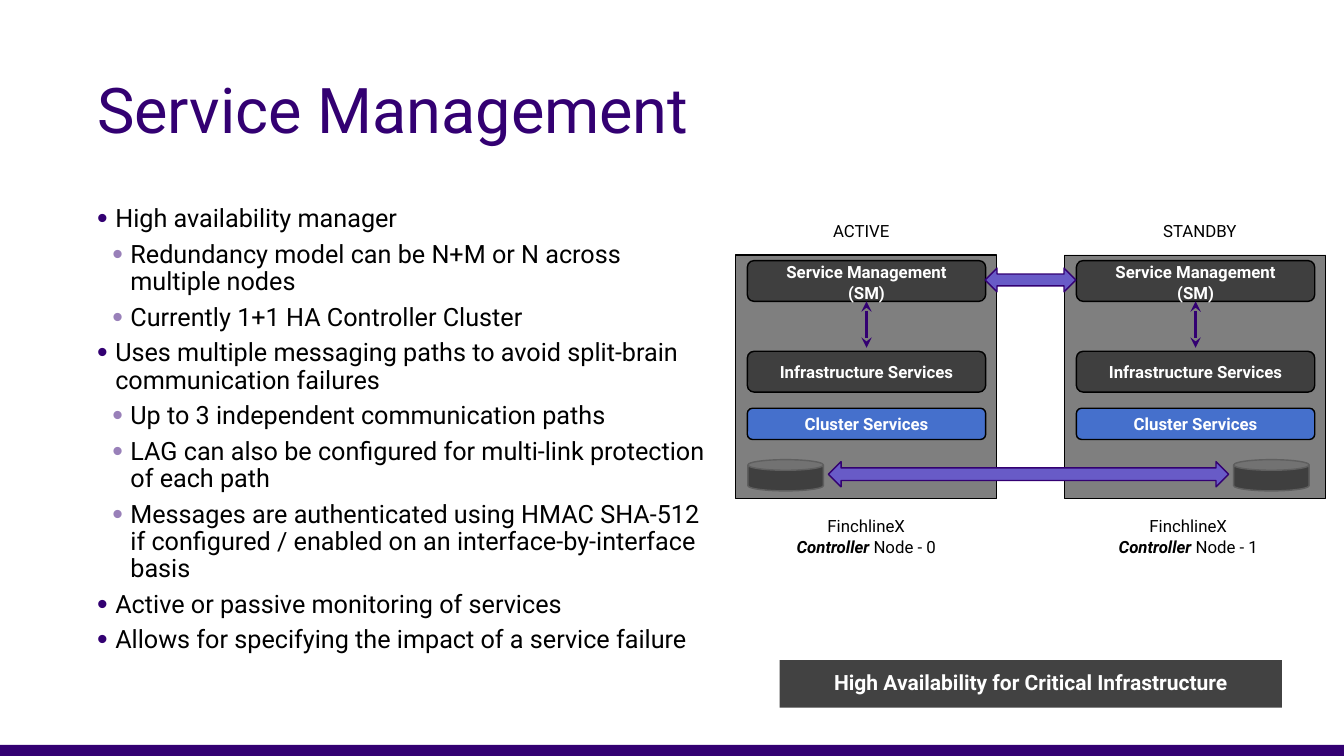
from dataclasses import dataclass

import pptx
import pptx.dml.color
import pptx.enum.shapes
import pptx.enum.text
import pptx.oxml
import pptx.oxml.ns
import pptx.util

Inches = pptx.util.Inches
Pt = pptx.util.Pt
RGBColor = pptx.dml.color.RGBColor
Shape = pptx.enum.shapes.MSO_SHAPE
Align = pptx.enum.text.PP_ALIGN
Anchor = pptx.enum.text.MSO_ANCHOR
qn = pptx.oxml.ns.qn

PURPLE = RGBColor(0x33, 0x00, 0x72)
PALE_PURPLE = RGBColor(0x99, 0x80, 0xB9)
VIOLET = RGBColor(0x68, 0x5B, 0xC7)
BLUE = RGBColor(0x32, 0x6C, 0xE6)
GRAY = RGBColor(0x5F, 0x5F, 0x5F)
BLACK = RGBColor(0, 0, 0)
WHITE = RGBColor(0xFF, 0xFF, 0xFF)


@dataclass(frozen=True)
class Bullet:
    text: str
    level: int = 0


@dataclass(frozen=True)
class Service:
    lines: tuple[str, ...]
    top: float
    height: float
    fill: RGBColor = BLACK
    alpha: int = 50


@dataclass(frozen=True)
class Node:
    role: str
    name: str
    left: float
    role_center: float
    name_center: float
    disk_left: float
    border: float


BULLETS = (
    Bullet("High availability manager"),
    Bullet("Redundancy model can be N+M or N across multiple nodes", 1),
    Bullet("Currently 1+1 HA Controller Cluster", 1),
    Bullet("Uses multiple messaging paths to avoid split-brain communication failures"),
    Bullet("Up to 3 independent communication paths", 1),
    Bullet("LAG can also be configured for multi-link protection of each path", 1),
    Bullet("Messages are authenticated using HMAC SHA-512 if configured / enabled "
           "on an interface-by-interface basis", 1),
    Bullet("Active or passive monitoring of services"),
    Bullet("Allows for specifying the impact of a service failure"),
)
SERVICES = (
    Service(("Service Management", "(SM)"), 5.17, 0.81),
    Service(("Infrastructure Services",), 6.97, 0.81),
    Service(("Cluster Services",), 8.1, 0.62, BLUE, 75),
)
NODES = (
    Node("ACTIVE", "Node - 0", 14.59, 17.09, 17.19, 14.84, 2),
    Node("STANDBY", "Node - 1", 21.12, 23.81, 23.58, 24.48, 1),
)
SERVICE_INSET = 0.24
SERVICE_WIDTH = 4.73


def add_text(tf, text: str, *, size: float = 24, color: RGBColor = BLACK,
             bold: bool = False, italic: bool = False, align=Align.CENTER,
             spacing: float = 1.0, before: float = 0, same_line: bool = False):
    p = tf.paragraphs[-1]
    if p.runs and not same_line:
        p = tf.add_paragraph()
    p.alignment = align
    p.line_spacing = spacing
    p.space_before = Pt(before)
    r = p.add_run()
    r.text = text
    r.font.name = "Roboto"
    r.font.size = Pt(size)
    r.font.color.rgb = color
    r.font.bold = bold
    r.font.italic = italic
    return p


def add_box(s, left: float, top: float, width: float, height: float, anchor=Anchor.TOP):
    sp = s.shapes.add_textbox(Inches(left), Inches(top), Inches(width), Inches(height))
    tf = sp.text_frame
    tf.word_wrap = True
    tf.vertical_anchor = anchor
    tf.margin_left = tf.margin_right = tf.margin_top = tf.margin_bottom = Inches(0.1)
    return tf


def add_shape(s, kind, left: float, top: float, width: float, height: float,
              fill: RGBColor, alpha: int = 100, line: RGBColor | None = None,
              weight: float = 2):
    sp = s.shapes.add_shape(kind, Inches(left), Inches(top), Inches(width), Inches(height))
    sp.shadow.inherit = False
    sp.fill.solid()
    sp.fill.fore_color.rgb = fill
    if alpha < 100:
        clr = sp.fill._xPr.find(qn("a:solidFill"))[0]
        pptx.oxml.xmlchemy.OxmlElement("a:alpha")
        a = clr.makeelement(qn("a:alpha"), {"val": str(alpha * 1000)})
        clr.append(a)
    if line is None:
        sp.line.fill.background()
    else:
        sp.line.color.rgb = line
        sp.line.width = Pt(weight)
    tf = sp.text_frame
    tf.word_wrap = True
    tf.vertical_anchor = Anchor.MIDDLE
    tf.margin_top = tf.margin_bottom = 0
    return sp


def add_child(parent, tag: str, **attrs: str):
    child = parent.makeelement(qn(tag), attrs)
    parent.append(child)
    return child


def add_bullet(tf, bullet: Bullet) -> None:
    p = add_text(tf, bullet.text, size=36, align=Align.LEFT, spacing=0.9, before=12)
    p.level = bullet.level
    pPr = p._p.get_or_add_pPr()
    pPr.set("marL", str(Inches(0.36 + 0.3 * bullet.level)))
    pPr.set("indent", str(Inches(-0.36)))
    color = PALE_PURPLE if bullet.level else PURPLE
    add_child(add_child(pPr, "a:buClr"), "a:srgbClr", val=str(color))
    add_child(pPr, "a:buSzPct", val="120000")
    add_child(pPr, "a:buFont", typeface="Arial")
    add_child(pPr, "a:buChar", char="•")


def add_sync_arrow(s, service_box, bottom: float) -> None:
    x = service_box.left + service_box.width // 2
    y = service_box.top + service_box.height
    cxn = s.shapes.add_connector(pptx.enum.shapes.MSO_CONNECTOR.STRAIGHT,
                                 x, y, x, Inches(bottom))
    cxn.begin_connect(service_box, 2)
    cxn.line.color.rgb = PURPLE
    cxn.line.width = Pt(5)
    ln = cxn.line._get_or_add_ln()
    add_child(ln, "a:headEnd", type="stealth")
    add_child(ln, "a:tailEnd", type="stealth")
    add_child(cxn._element.spPr, "a:effectLst")


def add_node(s, node: Node) -> None:
    add_shape(s, Shape.RECTANGLE, node.left, 5.06, 5.19, 4.83, BLACK, 50, BLACK, node.border)
    boxes = []
    for service in SERVICES:
        sp = add_shape(s, Shape.ROUNDED_RECTANGLE, node.left + SERVICE_INSET, service.top,
                       SERVICE_WIDTH, service.height, service.fill, service.alpha, BLACK)
        for text in service.lines:
            add_text(sp.text_frame, text, color=WHITE, bold=True)
        boxes.append(sp)
    boxes[0].text_frame.margin_top = Inches(0.05)
    add_sync_arrow(s, boxes[0], 6.9)
    disk = add_shape(s, Shape.CAN, node.disk_left, 9.12, 1.5, 0.62, BLACK, 50, GRAY)
    disk.adjustments[0] = 0.34
    add_text(add_box(s, node.role_center - 1, 4.28, 2, 0.59), node.role)
    tf = add_box(s, node.name_center - 1.63, 10.14, 3.26, 0.98)
    add_text(tf, "FinchlineX")
    add_text(tf, "Controller ", bold=True, italic=True)
    add_text(tf, node.name, same_line=True)


def main() -> None:
    prs = pptx.Presentation()
    prs.slide_width, prs.slide_height = Inches(26.67), Inches(15)
    s = prs.slides.add_slide(prs.slide_layouts[6])
    add_shape(s, Shape.RECTANGLE, 0, 14.78, 26.67, 0.22, PURPLE)
    title = add_box(s, 1.83, 0.8, 23, 2.9, Anchor.MIDDLE)
    add_text(title, "Service Management", size=90, color=PURPLE, align=Align.LEFT, spacing=0.9)
    body = add_box(s, 1.83, 3.99, 12.26, 9.52)
    for bullet in BULLETS:
        add_bullet(body, bullet)
    banner = add_shape(s, Shape.RECTANGLE, 15.47, 13.1, 9.97, 0.94, BLACK, 74)
    add_text(banner.text_frame, "High Availability for Critical Infrastructure",
             size=30, color=WHITE, bold=True, spacing=0.9)
    for node in NODES:
        add_node(s, node)
    for left, top, width, height in ((19.55, 5.32, 1.8, 0.47), (16.44, 9.16, 7.94, 0.5)):
        add_shape(s, Shape.LEFT_RIGHT_ARROW, left, top, width, height, VIOLET, line=PURPLE)
    prs.save("out.pptx")


if __name__ == "__main__":
    main()
